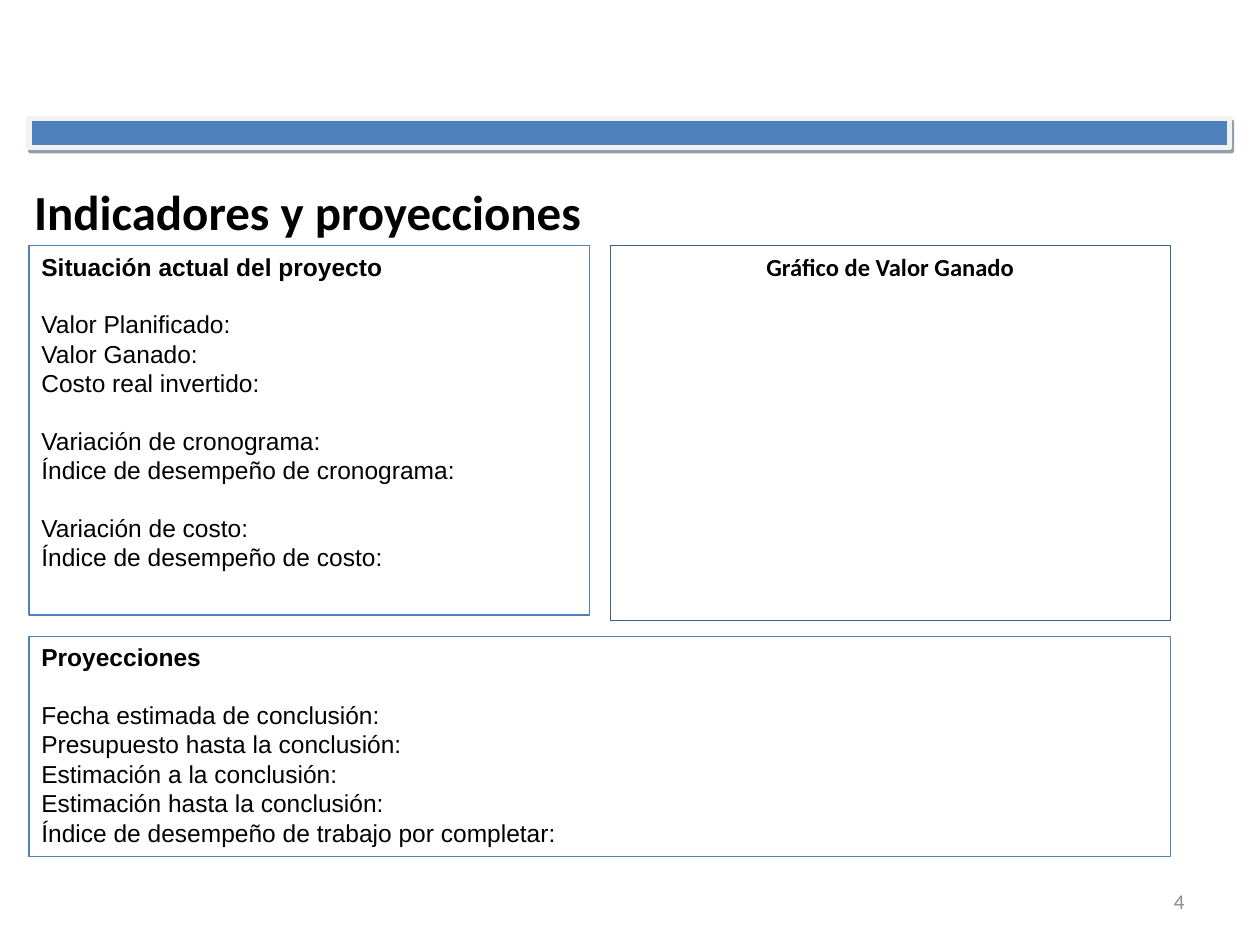
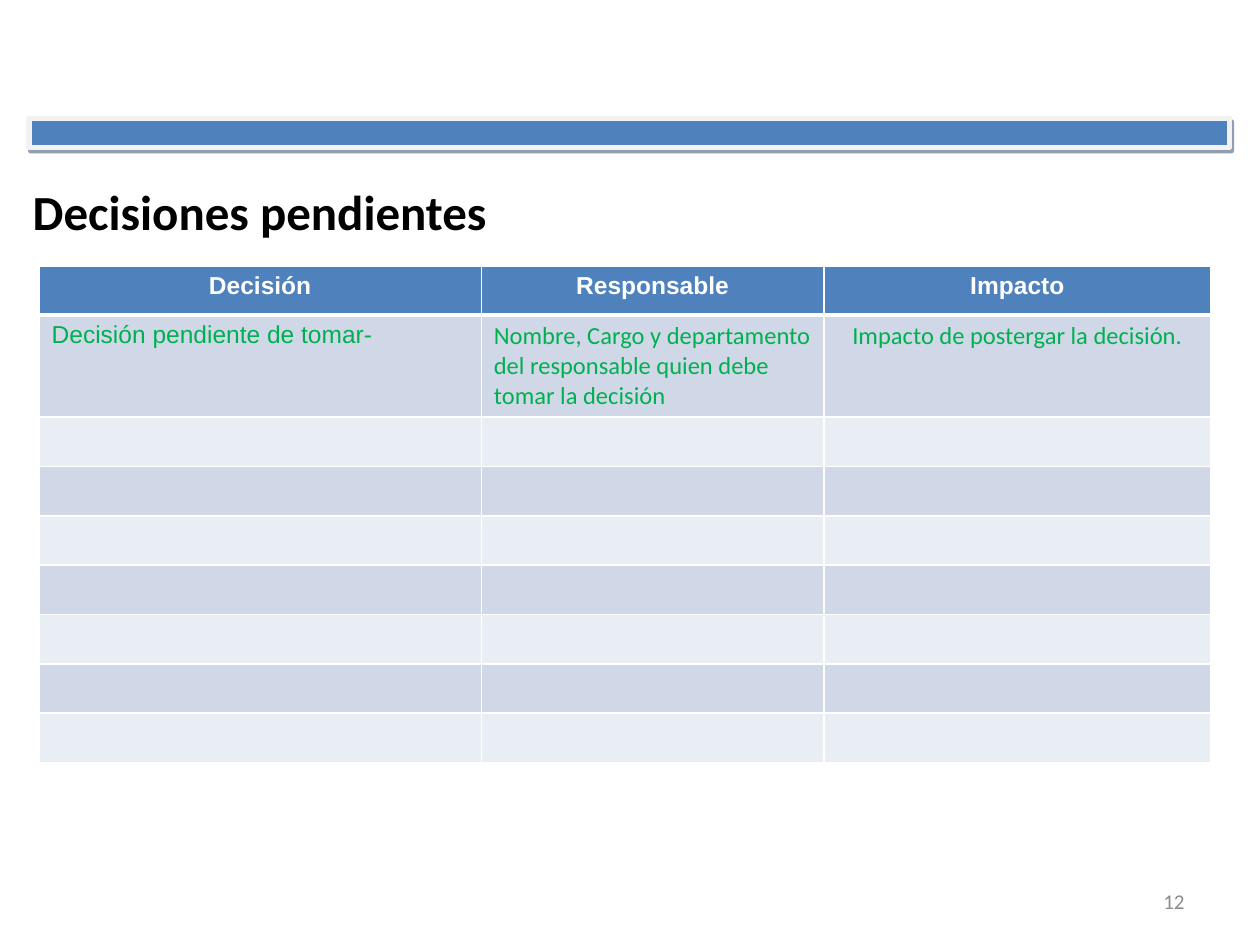
from lxml.etree import SubElement
from pptx import Presentation
from pptx.dml.color import RGBColor
from pptx.enum.shapes import MSO_SHAPE as Shape
from pptx.enum.text import MSO_ANCHOR as Anchor, MSO_AUTO_SIZE as AutoSize, PP_ALIGN as Align
from pptx.oxml.ns import qn
from pptx.util import Inches, Pt

BLUE = RGBColor(0x4F, 0x81, 0xBD)
DEEP_BLUE = RGBColor(0x3A, 0x5F, 0x8C)
SHADOW = RGBColor(0x24, 0x3F, 0x60)
PALE = RGBColor(0xF2, 0xF2, 0xF2)
ROW_DARK = RGBColor(0xD0, 0xD8, 0xE8)
ROW_LIGHT = RGBColor(0xE9, 0xED, 0xF4)
GREEN = RGBColor(0x00, 0xB0, 0x50)
GREY = RGBColor(0x8C, 0x8C, 0x8C)
BLACK = RGBColor(0x00, 0x00, 0x00)
WHITE = RGBColor(0xFF, 0xFF, 0xFF)

TITLE = dict(name="Calibri", size=Pt(28), bold=True, color=BLACK)
NUMBER = dict(name="Calibri", size=Pt(12), bold=False, color=GREY)
BODY = dict(name="Arial", size=Pt(14), bold=False, color=BLACK)
HEADING = BODY | dict(bold=True)
CHART_HEADING = HEADING | dict(name="Calibri")
TABLE_HEAD = HEADING | dict(color=WHITE)
EXAMPLE = BODY | dict(color=GREEN)
EXAMPLE_CALIBRI = EXAMPLE | dict(name="Calibri")

deck = Presentation()
deck.slide_width, deck.slide_height = Inches(10), Inches(7.5)


def percent(left, top, width, height):
    across, down = deck.slide_width / 100, deck.slide_height / 100
    return [round(share * side) for share, side in
            zip((left, top, width, height), (across, down, across, down))]


def write(paragraph, text, style, align=Align.LEFT):
    paragraph.alignment = align
    run = paragraph.add_run()
    run.text = text
    for key, value in style.items():
        if key == "color":
            run.font.color.rgb = value
        else:
            setattr(run.font, key, value)


slides = []
for heading, number, left in (("Indicadores y proyecciones", "4", 1.7),
                              ("Decisiones pendientes", "12", 1.6)):
    slide = deck.slides.add_slide(deck.slide_layouts[5])
    slides.append(slide)

    band = slide.shapes.add_shape(Shape.RECTANGLE, *percent(2.3, 12.53, 95.3, 3.07))
    band.fill.solid()
    band.fill.fore_color.rgb = BLUE
    band.line.color.rgb = PALE
    band.line.width = Pt(3)
    band.shadow.inherit = False
    effects = band.element.spPr.find(qn("a:effectLst"))
    shade = SubElement(effects, qn("a:outerShdw"), blurRad="0", dist=str(Pt(2.2)),
                       dir=str(63 * 60000), algn="ctr", rotWithShape="0")
    tint = SubElement(shade, qn("a:srgbClr"), val=str(SHADOW))
    SubElement(tint, qn("a:alpha"), val="50000")

    title = slide.shapes.title
    title.left, title.top, title.width, title.height = percent(left, 19.73, 85, 5.2)
    page = slide.shapes.add_textbox(*percent(71.7, 92.67, 23.3, 5.33))
    for box, text, style, align in ((title, heading, TITLE, Align.LEFT),
                                    (page, number, NUMBER, Align.RIGHT)):
        frame = box.text_frame
        frame.word_wrap = True
        frame.auto_size = AutoSize.NONE
        frame.vertical_anchor = Anchor.MIDDLE
        write(frame.paragraphs[0], text, style, align)

indicators, decisions = slides

situation = [["Valor Planificado:", "Valor Ganado:", "Costo real invertido:"],
             ["Variación de cronograma:", "Índice de desempeño de cronograma:"],
             ["Variación de costo:", "Índice de desempeño de costo:"]]
projections = [["Fecha estimada de conclusión:", "Presupuesto hasta la conclusión:",
                "Estimación a la conclusión:", "Estimación hasta la conclusión:",
                "Índice de desempeño de trabajo por completar:"]]
panels = [
    ((2.3, 26, 44.5, 39.07), "Situación actual del proyecto", situation,
     HEADING, Align.LEFT, BLUE, 0.75),
    ((2.3, 67.33, 90.6, 23.33), "Proyecciones", projections,
     HEADING, Align.LEFT, BLUE, 0.75),
    ((48.4, 26, 44.5, 39.6), "Gráfico de Valor Ganado", [],
     CHART_HEADING, Align.CENTER, DEEP_BLUE, 0.25),
]
for area, heading, groups, style, align, outline, weight in panels:
    panel = indicators.shapes.add_shape(Shape.RECTANGLE, *percent(*area))
    panel.shadow.inherit = False
    panel.fill.background()
    panel.line.color.rgb = outline
    panel.line.width = Pt(weight)
    frame = panel.text_frame
    frame.word_wrap = True
    frame.vertical_anchor = Anchor.TOP
    write(frame.paragraphs[0], heading, style, align)
    for group in groups:
        for position, label in enumerate(group):
            line = frame.add_paragraph()
            line.space_before = Pt(0 if position else 16.1)
            write(line, label, BODY)

entries = [
    [("Decisión", TABLE_HEAD, Align.CENTER), ("Responsable", TABLE_HEAD, Align.CENTER),
     ("Impacto", TABLE_HEAD, Align.CENTER)],
    [("Decisión pendiente de tomar-", EXAMPLE, Align.LEFT),
     ("Nombre, Cargo y departamento del responsable quien debe tomar la decisión",
      EXAMPLE_CALIBRI, Align.LEFT),
     ("Impacto de postergar la decisión.", EXAMPLE_CALIBRI, Align.CENTER)],
] + [[("", BODY, Align.LEFT)] * 3] * 7

table = decisions.shapes.add_table(len(entries), 3, *percent(3.1, 28.13, 93, 52.4)).table
for column, share in zip(table.columns, (35.1, 27.2, 30.7)):
    column.width = round(deck.slide_width * share / 100)
for index, entry in enumerate(entries):
    table.rows[index].height = round(deck.slide_height * (10.6 if index == 1 else 5.22) / 100)
    for cell, (text, style, align) in zip(table.rows[index].cells, entry):
        write(cell.text_frame.paragraphs[0], text, style, align)
        properties = cell._tc.get_or_add_tcPr()
        for side in ("lnL", "lnR", "lnT", "lnB"):
            thick = (index, side) in ((0, "lnB"), (1, "lnT"))
            border = SubElement(properties, qn("a:" + side), w=str(Pt(3 if thick else 1)))
            paint = SubElement(border, qn("a:solidFill"))
            SubElement(paint, qn("a:srgbClr"), val=str(WHITE))
        cell.fill.solid()
        cell.fill.fore_color.rgb = BLUE if index == 0 else (ROW_LIGHT, ROW_DARK)[index % 2]

deck.save("out.pptx")
